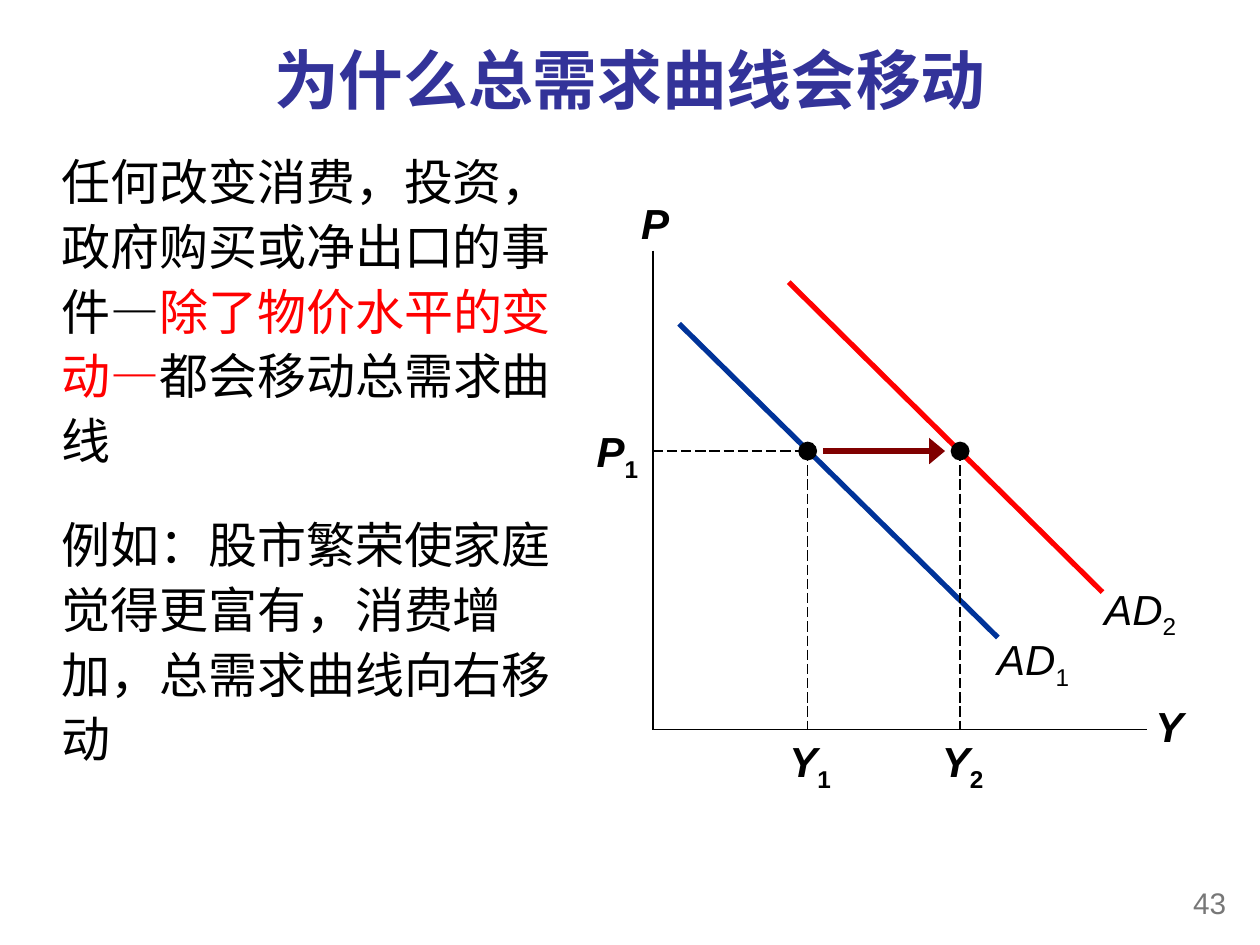
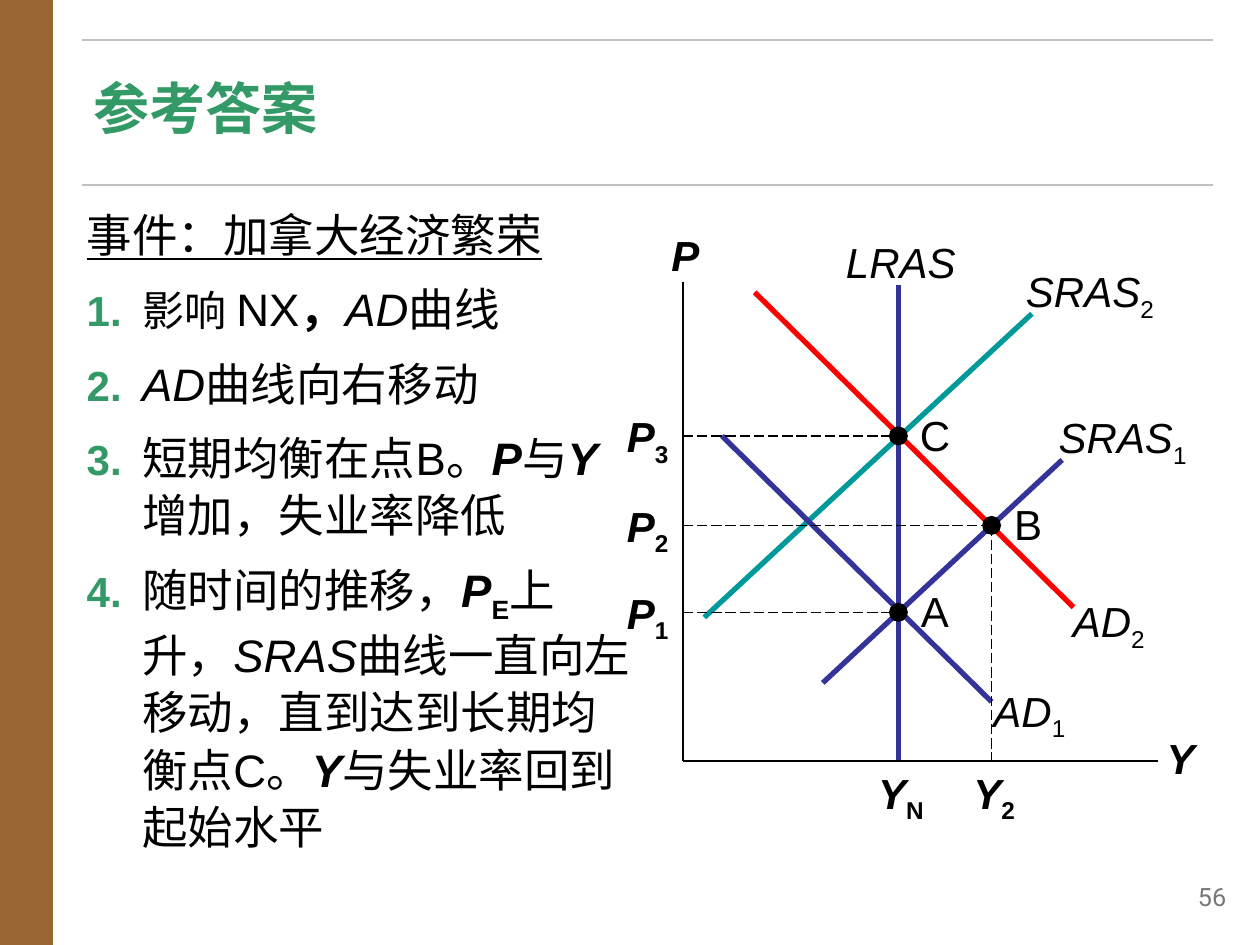
from lxml.etree import SubElement
from pptx import Presentation
from pptx.dml.color import RGBColor
from pptx.enum.dml import MSO_LINE
from pptx.enum.shapes import MSO_CONNECTOR, MSO_SHAPE
from pptx.enum.text import MSO_ANCHOR, PP_ALIGN
from pptx.oxml.ns import qn
from pptx.util import Inches, Pt

COLORS = {
    "ink": "000000", "indigo": "333399", "blue": "003399", "red": "FF0000",
    "teal": "009999", "maroon": "800000", "green": "339966",
    "brown": "996633", "rule": "C0C0C0", "number": "777777",
}
FONT, TITLE_FONT = "Arial", "Vollkorn"
DOT = 0.15

# A run is (text, marks, optional colour, optional size).
# Marks: b bold, i italic, u underlined, s subscript.
SHIFT_TEXT = [
    [("任何改变消费，投资，政府购买或净出口的事件—", ""),
     ("除了物价水平的变动—", "", "red"),
     ("都会移动总需求曲线", "")],
    [("例如：股市繁荣使家庭觉得更富有，消费增加，总需求曲线向右移动", "")],
]
ANSWER_HEADING = [("事件：加拿大经济繁荣", "u")]
ANSWER_STEPS = [
    [("影响", "", "ink", 24), (" NX", ""), ("，", "b"), ("AD", "i"), ("曲线", "")],
    [("AD", "i"), ("曲线向右移动", "")],
    [("短期均衡在点B。", ""), ("P", "bi"), ("与", ""), ("Y ", "bi"),
     ("增加，失业率降低", "")],
    [("随时间的推移，", ""), ("P", "bi"), ("E", "bs"), ("上升，", ""),
     ("SRAS", "i"), ("曲线一直向左移动，直到达到长期均衡点C。", ""),
     ("Y", "bi"), ("与失业率回到起始水平", "")],
]

# Curves: name, subscript, start, end, colour, label centre and top.
# Equilibria: letter, point, price subscript, quantity subscript, drop line.
SHIFT_GRAPH = {
    "origin": (5.18, 5.79), "top": 1.99, "right": 9.1,
    "curves": [
        ("AD", "1", (5.39, 2.57), (7.92, 5.06), "blue", (8.2, 5.03)),
        ("AD", "2", (6.26, 2.24), (8.75, 4.7), "red", (9.05, 4.63)),
    ],
    "equilibria": [
        ("", (6.41, 3.58), "1", "1", True),
        ("", (7.62, 3.58), "", "2", True),
    ],
}
ANSWER_GRAPH = {
    "origin": (5.42, 6.04), "top": 2.24, "right": 9.19,
    "curves": [
        ("LRAS", "", (7.13, 2.26), (7.13, 6.03), "indigo", (7.15, 1.88)),
        ("AD", "2", (5.99, 2.32), (8.52, 4.82), "red", (8.8, 4.73)),
        ("SRAS", "2", (5.59, 4.9), (8.19, 2.49), "teal", (8.65, 2.11)),
        ("AD", "1", (5.73, 3.46), (7.87, 5.57), "indigo", (8.17, 5.44)),
        ("SRAS", "1", (6.53, 5.42), (8.43, 3.65), "indigo", (8.91, 3.27)),
    ],
    "equilibria": [
        ("A", (7.13, 4.86), "1", "N", False),
        ("B", (7.87, 4.17), "2", "2", True),
        ("C", (7.13, 3.46), "3", "", False),
    ],
}


def rgb(color):
    return RGBColor.from_string(COLORS[color])


def add_run(paragraph, size, font, text, marks, color="ink", own_size=None):
    run = paragraph.add_run()
    run.text = text
    run.font.name = font
    run.font.size = Pt(own_size or size)
    run.font.color.rgb = rgb(color)
    run.font.bold = "b" in marks
    run.font.italic = "i" in marks
    run.font.underline = "u" in marks
    if "s" in marks:
        run._r.get_or_add_rPr().set("baseline", "-25000")


def add_text(slide, box, paragraphs, size, font=FONT, align=PP_ALIGN.LEFT,
             inset=(0.1, 0.05), line=1.0, gap=0, hang=0, anchor=MSO_ANCHOR.TOP):
    frame = slide.shapes.add_textbox(*map(Inches, box)).text_frame
    frame.word_wrap = True
    frame.vertical_anchor = anchor
    frame.margin_left = frame.margin_right = Inches(inset[0])
    frame.margin_top = frame.margin_bottom = Inches(inset[1])
    for index, runs in enumerate(paragraphs):
        paragraph = frame.add_paragraph() if index else frame.paragraphs[0]
        paragraph.alignment = align
        paragraph.line_spacing = line
        if index:
            paragraph.space_before = Pt(gap)
        properties = paragraph._p.get_or_add_pPr()
        properties.set("hangingPunct", "0")  # keep commas inside the box
        if hang:
            properties.set("marL", str(Inches(hang)))
            properties.set("indent", str(-Inches(hang)))
        for run in runs:
            add_run(paragraph, size, font, *run)


def add_label(slide, center, top, name, subscript="", marks="i"):
    """Write a graph label around a centre, with an upright subscript."""
    width = 0.3 + 0.25 * len(name + subscript)
    runs = [(name, marks)]
    if subscript:
        runs.append((subscript, marks.replace("i", "") + "s"))
    add_text(slide, (center - width / 2, top, width, 0.46), [runs], 24,
             align=PP_ALIGN.CENTER, inset=(0, 0))


def add_line(slide, start, end, color="ink", width=1.0, dashed=False, arrow=False):
    connector = slide.shapes.add_connector(
        MSO_CONNECTOR.STRAIGHT, *map(Inches, (*start, *end)))
    connector.line.color.rgb = rgb(color)
    connector.line.width = Pt(width)
    if dashed:
        connector.line.dash_style = MSO_LINE.LONG_DASH
    if arrow:
        SubElement(connector.line._get_or_add_ln(), qn("a:tailEnd"),
                   type="triangle", w="lg", len="med")
    SubElement(connector._element.spPr, qn("a:effectLst"))


def add_solid(slide, kind, box, color):
    shape = slide.shapes.add_shape(kind, *map(Inches, box))
    shape.shadow.inherit = False
    shape.fill.solid()
    shape.fill.fore_color.rgb = rgb(color)
    shape.line.fill.background()


def add_graph(slide, origin, top, right, curves, equilibria):
    axis_x, axis_y = origin
    add_line(slide, (axis_x, top), origin)
    add_line(slide, origin, (right, axis_y))
    add_label(slide, axis_x + 0.02, top - 0.42, "P", marks="bi")
    add_label(slide, right + 0.18, axis_y - 0.23, "Y", marks="bi")

    for name, subscript, start, end, color, (center, label_top) in curves:
        add_line(slide, start, end, color, 3)
        add_label(slide, center, label_top, name, subscript)

    for letter, (x, y), price, quantity, drop in equilibria:
        if price:
            add_line(slide, (axis_x, y), (x, y), width=0.75, dashed=True)
            add_label(slide, axis_x - 0.28, y - 0.2, "P", price, "bi")
        if drop:
            add_line(slide, (x, y), (x, axis_y), width=0.75, dashed=True)
        if quantity:
            add_label(slide, x + 0.02, axis_y + 0.05, "Y", quantity, "bi")
        add_solid(slide, MSO_SHAPE.OVAL, (x - DOT / 2, y - DOT / 2, DOT, DOT), "ink")
        if letter:
            add_label(slide, x + 0.29, y - 0.21, letter, marks="")


def add_title(slide, text, box, size, color, **layout):
    add_text(slide, box, [[(text, "b", color)]], size, TITLE_FONT, **layout)


def add_number(slide, number, size, font, line=1.0):
    add_text(slide, (9.08, 6.97, 0.75, 0.4), [[(number, "", "number")]],
             size, font, align=PP_ALIGN.RIGHT, line=line)


def build_shift_slide(slide):
    add_title(slide, "为什么总需求曲线会移动", (0, 0.27, 10, 0.71), 37, "indigo",
              align=PP_ALIGN.CENTER, anchor=MSO_ANCHOR.MIDDLE)
    add_text(slide, (0.39, 1.11, 4.22, 5.63), SHIFT_TEXT, 28, line=1.1, gap=22.5)
    add_graph(slide, **SHIFT_GRAPH)
    add_line(slide, (6.53, 3.58), (7.5, 3.58), "maroon", 3, arrow=True)
    add_number(slide, "43", 17, FONT)


def build_answer_slide(slide):
    add_solid(slide, MSO_SHAPE.RECTANGLE, (0, 0, 0.42, 7.5), "brown")
    add_title(slide, "参考答案", (0.64, 0.58, 8.98, 0.85), 32, "green", inset=(0.1, 0))
    for y in (0.32, 1.47):
        add_line(slide, (0.65, y), (9.63, y), "rule")
    add_graph(slide, **ANSWER_GRAPH)
    steps = [[(f"{number}.\t", "b", "green", 24), *runs]
             for number, runs in enumerate(ANSWER_STEPS, 1)]
    add_text(slide, (0.59, 1.57, 4.6, 5.7), [ANSWER_HEADING, *steps], 26,
             line=1.05, gap=9.8, hang=0.44)
    add_number(slide, "56", 14.4, "Roboto", line=0.9)


def main():
    deck = Presentation()
    deck.slide_width, deck.slide_height = Inches(10), Inches(7.5)
    for build in (build_shift_slide, build_answer_slide):
        build(deck.slides.add_slide(deck.slide_layouts[6]))
    deck.save("out.pptx")


if __name__ == "__main__":
    main()
